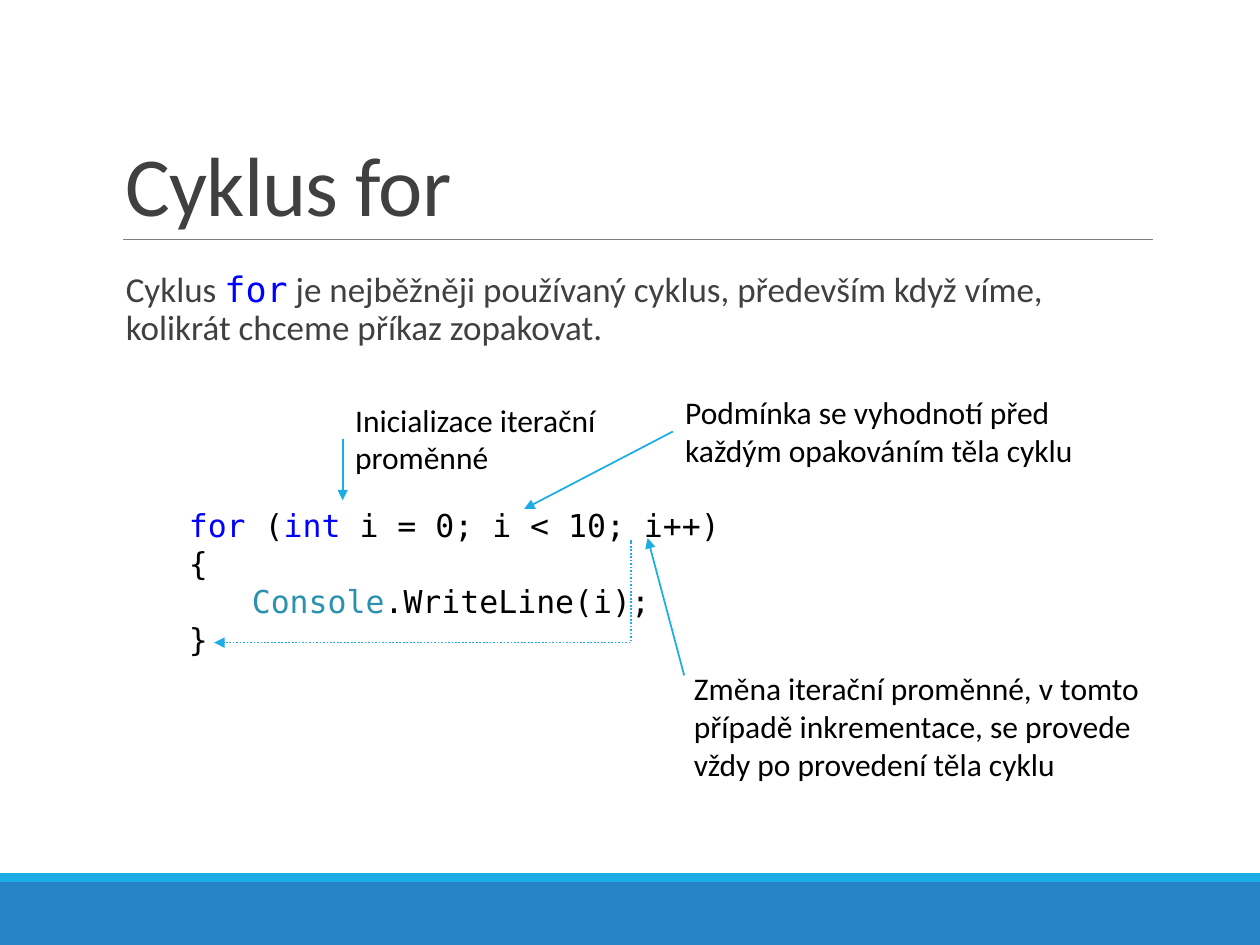
from pptx import Presentation
from pptx.dml.color import RGBColor
from pptx.enum.dml import MSO_LINE
from pptx.enum.shapes import MSO_CONNECTOR, MSO_SHAPE
from pptx.enum.text import MSO_ANCHOR
from pptx.oxml.ns import qn
from pptx.util import Inches, Pt
from lxml.etree import SubElement

THEME = {
    "text": "404040", "black": "000000", "keyword": "0000FF", "type": "2B91AF",
    "accent": "1CADE4", "footer": "2683C6", "rule": "808080",
    "sans": "Calibri", "mono": "DejaVu Sans Mono",
    "title_size": 48, "body_size": 20, "note_size": 18,
}

TITLE = "Cyklus for"
INTRO = [
    ("Cyklus ", "text", "sans"),
    ("for", "keyword", "mono"),
    (" je nejběžněji používaný cyklus, především když víme, kolikrát chceme příkaz zopakovat.", "text", "sans"),
]
CODE = [
    (1, [("for", "keyword"), (" (", "black"), ("int", "keyword"), (" i = 0; i < 10; i++)", "black")]),
    (1, [("{", "black")]),
    (2, [("Console", "type"), (".WriteLine(i);", "black")]),
    (1, [("}", "black")]),
]
NOTES = {
    "init": ("Inicializace iterační proměnné", (2.72, 3.13, 2.21, 0.71)),
    "condition": ("Podmínka se vyhodnotí před každým opakováním těla cyklu", (5.34, 3.07, 3.73, 0.71)),
    "change": ("Změna iterační proměnné, v tomto případě inkrementace, se provede vždy po provedení těla cyklu",
               (5.41, 5.26, 3.74, 1.31)),
}
ARROWS = [
    ("init", (2.72, 3.48), (2.72, 3.97)),
    ("condition", (5.34, 3.42), (4.16, 4.04)),
    (None, (5.43, 5.36), (5.14, 4.27)),
]
LOOP_BACK = ((5.02, 4.29), (1.7, 5.1))
BANDS = [("footer", 7, 0.5), ("accent", 6.93, 0.07)]


def color(name):
    return RGBColor.from_string(THEME[name])


def style(font, tint, face="sans", size=None):
    font.name = THEME[face]
    font.color.rgb = color(tint)
    if size:
        font.size = Pt(THEME[size])


def add_box(page, area, anchor=MSO_ANCHOR.TOP):
    box = page.shapes.add_textbox(*map(Inches, area))
    box.text_frame.word_wrap = True
    box.text_frame.vertical_anchor = anchor
    return box


def add_line(page, start, end, tint="accent", width=1, kind=MSO_CONNECTOR.STRAIGHT, arrow=True):
    line = page.shapes.add_connector(kind, *map(Inches, start + end))
    line.line.color.rgb = color(tint)
    line.line.width = Pt(width)
    properties = line.line._get_or_add_ln()
    if arrow:
        SubElement(properties, qn("a:tailEnd"), type="triangle")
    SubElement(line._element.spPr, qn("a:effectLst"))
    return line


def add_bands(page):
    for tint, top, height in BANDS:
        band = page.shapes.add_shape(MSO_SHAPE.RECTANGLE, 0, Inches(top), Inches(10), Inches(height))
        band.shadow.inherit = False
        band.fill.solid()
        band.fill.fore_color.rgb = color(tint)
        band.line.fill.background()


def add_heading(page):
    para = add_box(page, (0.9, 0.31, 8.25, 1.59), MSO_ANCHOR.BOTTOM).text_frame.paragraphs[0]
    para.line_spacing = 0.85
    span = para.add_run()
    span.text = TITLE
    span.font._element.set("spc", "-50")
    style(para.font, "text", size="title_size")


def add_intro(page):
    para = add_box(page, (0.9, 2.11, 8.25, 1.16)).text_frame.paragraphs[0]
    para.line_spacing = 0.9
    para.font.size = Pt(THEME["body_size"])
    for text, tint, face in INTRO:
        span = para.add_run()
        span.text = text
        style(span.font, tint, face)


def add_code(page):
    frame = add_box(page, (0.9, 3.97, 8.25, 1.31)).text_frame
    for index, (level, spans) in enumerate(CODE):
        para = frame.add_paragraph() if index else frame.paragraphs[0]
        para.level = level
        properties = para._element.get_or_add_pPr()
        properties.set("marL", str(Inches(0.5 * level)))
        properties.set("indent", "0")
        para.font.name = THEME["mono"]
        para.font.size = Pt(THEME["note_size"])
        for text, tint in spans:
            span = para.add_run()
            span.text = text
            span.font.color.rgb = color(tint)


def add_notes(page):
    boxes = {}
    for name, (text, area) in NOTES.items():
        boxes[name] = add_box(page, area)
        para = boxes[name].text_frame.paragraphs[0]
        para.text = text
        style(para.font, "black", size="note_size")
    return boxes


def add_arrows(page, boxes):
    for source, start, end in ARROWS:
        arrow = add_line(page, start, end)
        if source:
            arrow.begin_connect(boxes[source], 1)
    loop = add_line(page, *LOOP_BACK, kind=MSO_CONNECTOR.ELBOW)
    loop.line.dash_style = MSO_LINE.ROUND_DOT
    guides = loop._element.spPr.find(qn("a:prstGeom")).find(qn("a:avLst"))
    SubElement(guides, qn("a:gd"), name="adj1", fmla="val 400")


def main():
    """Build the slide explaining the for loop."""
    deck = Presentation()
    deck.slide_width, deck.slide_height = Inches(10), Inches(7.5)
    page = deck.slides.add_slide(deck.slide_layouts[6])
    add_bands(page)
    add_line(page, (0.98, 1.9), (9.15, 1.9), "rule", 0.5, arrow=False)
    add_heading(page)
    add_intro(page)
    add_code(page)
    add_arrows(page, add_notes(page))
    deck.save("out.pptx")


if __name__ == "__main__":
    main()
